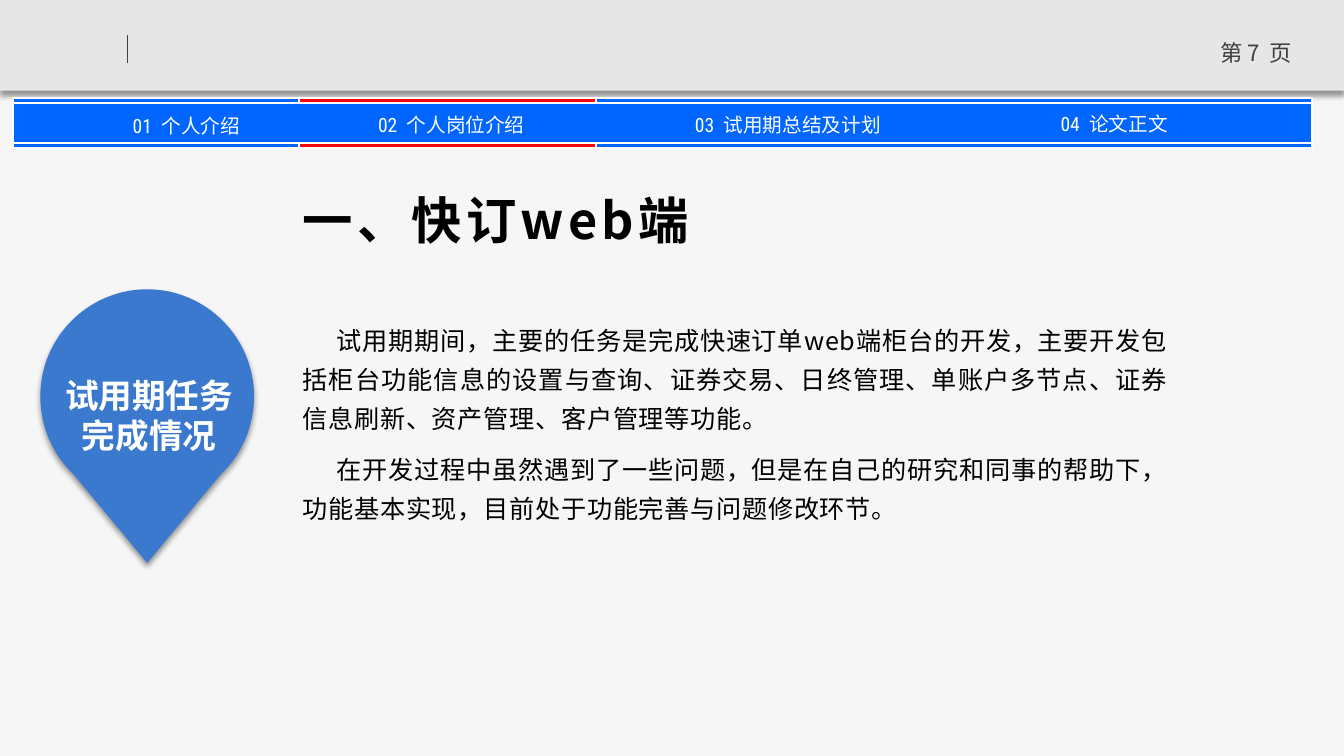
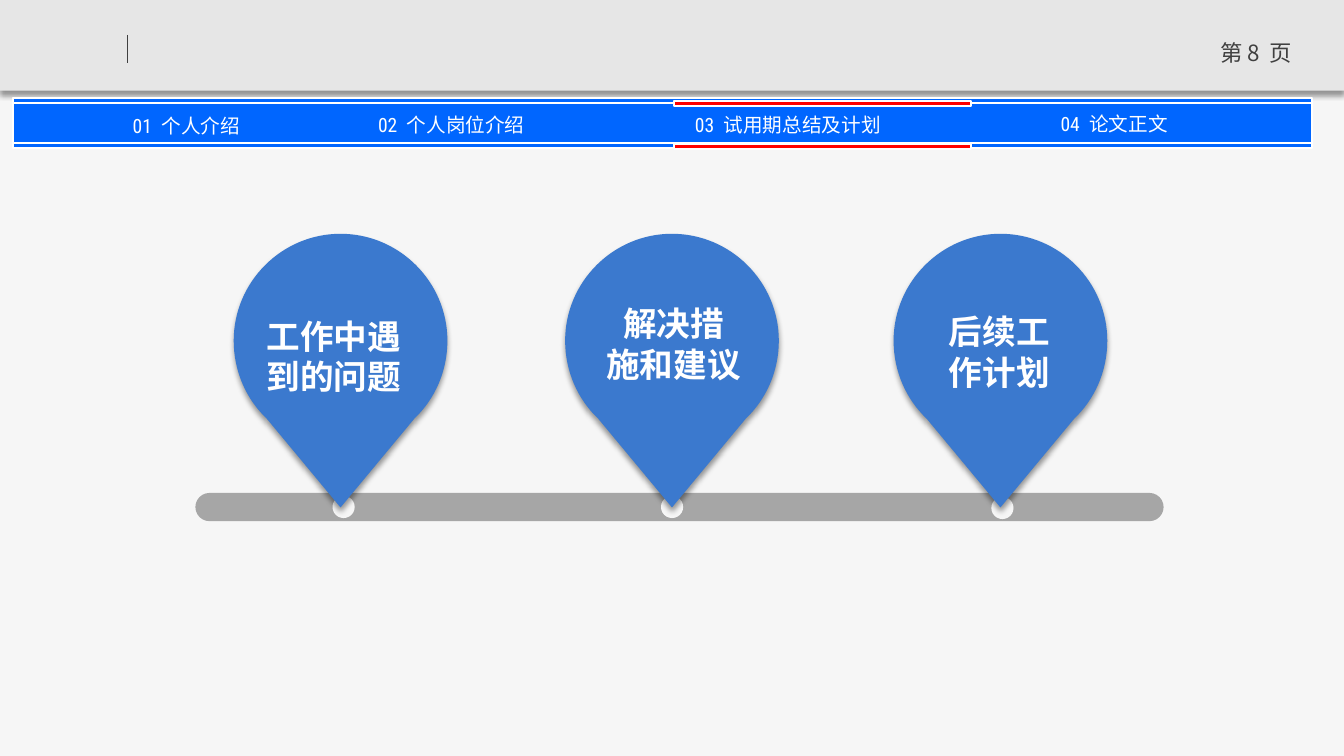
"""Build two probation report slides on one shared layout."""
from lxml.etree import SubElement as Sub
from pptx import Presentation
from pptx.dml.color import RGBColor as Rgb
from pptx.enum.shapes import MSO_CONNECTOR as Link, MSO_SHAPE as Kind
from pptx.enum.text import MSO_ANCHOR as Anchor, MSO_AUTO_SIZE as Fit, PP_ALIGN as Align
from pptx.oxml.ns import qn
from pptx.util import Inches, Pt

HUE = {"back": "F6F6F6", "head": "E6E6E6", "ink": "404040", "band": "0066FF",
       "mark": "FF0000", "pin": "3B79CE", "rail": "A6A6A6", "white": "FFFFFF", "black": "000000"}
SANS, SLIM = "Noto Sans CJK SC", "Roboto Condensed"

deck = Presentation()
deck.slide_width, deck.slide_height = Inches(13.34), Inches(7.5)
COL, ROW = deck.slide_width / 100, deck.slide_height / 100


def paint(shape, hue, edge=None, shade=False):
    """Fill a shape, with an optional outline and soft shadow."""
    shape.fill.solid()
    shape.fill.fore_color.rgb = Rgb.from_string(HUE[hue])
    if edge:
        shape.line.color.rgb = Rgb.from_string(HUE[edge])
        shape.line.width = Pt(1.5)
    else:
        shape.line.fill.background()
    shape.shadow.inherit = False
    if shade:
        glow = Sub(shape.element.spPr.find(qn("a:effectLst")), qn("a:outerShdw"),
                   blurRad=str(Pt(4)), dist=str(Pt(3)), dir="5400000", rotWithShape="0")
        tint = Sub(glow, qn("a:srgbClr"), val=HUE["black"])
        Sub(tint, qn("a:alpha"), val="40000")


def write(frame, lines, hue, size, face=SANS, bold=False, track=0, room=None, **form):
    """Write lines of runs with one text format."""
    for key, value in (room or {}).items():
        setattr(frame, key, value)
    for num, line in enumerate(lines):
        para = frame.paragraphs[0] if num == 0 else frame.add_paragraph()
        for key, value in form.items():
            setattr(para, key, value)
        for text in line:
            run = para.add_run()
            run.text = text
            run.font.color.rgb = Rgb.from_string(HUE[hue])
            for key, value in {"size": Pt(size), "bold": bold, "name": face}.items():
                setattr(run.font, key, value)
            props = run._r.get_or_add_rPr()
            Sub(props, qn("a:ea"), typeface=SANS)
            gap = 350 if text == " " else track
            if gap:
                props.set("spc", str(gap))


layout = deck.slide_layouts[1]
layout.background.fill.solid()
layout.background.fill.fore_color.rgb = Rgb.from_string(HUE["back"])
for hold in list(layout.placeholders):
    if hold.placeholder_format.idx >= 10:
        hold.element.getparent().remove(hold.element)

web, plan = [deck.slides.add_slide(layout) for _ in range(2)]

head = web.shapes.add_shape(Kind.RECTANGLE, 0, 0, deck.slide_width, int(12 * ROW))
paint(head, "head", shade=True)
rule = web.shapes.add_connector(Link.STRAIGHT, int(9.52 * COL), int(4.6 * ROW),
                                int(9.52 * COL), int(8.4 * ROW))
rule.line.color.rgb = Rgb.from_string(HUE["ink"])
rule.line.width = Pt(0.75)
Sub(rule.element.spPr, qn("a:effectLst"))

for top, tall in ((13.68, 5.73), (18.93, 0.67), (13.02, 0.67)):
    band = web.shapes.add_shape(Kind.RECTANGLE, int(0.97 * COL), int(top * ROW),
                                int(96.63 * COL), int(tall * ROW))
    paint(band, "band", "white")

flush = {"margin_left": 0, "margin_right": 0, "margin_top": 0, "margin_bottom": 0,
         "vertical_anchor": Anchor.MIDDLE, "word_wrap": True}
tabs = [("01", "个人介绍", 4.57, 15.07), ("02", "个人岗位介绍", 24.29, 14.93),
        ("03", "试用期总结及计划", 49.33, 14.93), ("04", "论文正文", 73.61, 14.8)]
for num, name, left, top in tabs:
    tab = web.shapes.add_textbox(int(left * COL), int(top * ROW), int(18.59 * COL), int(3.2 * ROW))
    write(tab.text_frame, [[num, " ", name]], "white", 14, SLIM, room=flush, alignment=Align.CENTER)

tree = layout.element.cSld.spTree
for shape in list(web.shapes):
    if not shape.is_placeholder:
        tree.append(shape.element)

for hold in list(plan.placeholders):
    hold.element.getparent().remove(hold.element)

for slide, page, left, tops in ((web, "7", 22.26, (18.93, 13.02)), (plan, "8", 50.15, (19.07, 13.33))):
    note = slide.shapes.add_textbox(int(88.98 * COL), int(4.53 * ROW), int(9 * COL), int(5.33 * ROW))
    write(note.text_frame, [["第 " + page, " ", "页"]], "ink", 16,
          room={"word_wrap": True}, alignment=Align.CENTER)
    for top in tops:
        mark = slide.shapes.add_shape(Kind.RECTANGLE, int(left * COL), int(top * ROW),
                                      int(22.11 * COL), int(0.67 * ROW))
        paint(mark, "mark", "white")

inset = {"margin_left": Inches(0.08), "margin_right": Inches(0.08), "margin_top": Inches(0.04),
         "margin_bottom": Inches(0.04), "vertical_anchor": Anchor.TOP, "word_wrap": True,
         "auto_size": Fit.NONE}
title, body = web.placeholders
for hold, spot in ((title, (21.92, 24.5, 40.85, 9.07)), (body, (21.92, 41.28, 65.59, 53.73))):
    for key, share, unit in zip(("left", "top", "width", "height"), spot, (COL, ROW, COL, ROW)):
        setattr(hold, key, int(share * unit))
flow = {"alignment": Align.JUSTIFY, "space_before": Pt(0), "space_after": Pt(8)}
write(title.text_frame, [["一、快订web端"]], "black", 36, bold=True, track=300, room=inset, **flow)
tale = [["试用期期间，主要的任务是完成快速订单web端柜台的开发，主要开发包括柜台功能信息的设置与查询、"
         "证券交易、日终管理、单账户多节点、证券信息刷新、资产管理、客户管理等功能。"],
        ["在开发过程中虽然遇到了一些问题，但是在自己的研究和同事的帮助下，"
         "功能基本实现，目前处于功能完善与问题修改环节。"]]
write(body.text_frame, tale, "black", 18, track=50, room=inset, line_spacing=1.3, **flow)
for para in body.text_frame.paragraphs:
    props = para._p.get_or_add_pPr()
    props.set("marL", "0")
    props.set("indent", str(Inches(0.34)))
    Sub(props, qn("a:buNone"))

rail = plan.shapes.add_shape(Kind.ROUNDED_RECTANGLE, int(14.54 * COL), int(65.2 * ROW),
                             int(72.04 * COL), int(3.73 * ROW))
rail.adjustments[0] = 0.5
paint(rail, "rail")
for slide, left, top in ((web, 10.19, 73.07), (plan, 24.74, 65.6),
                         (plan, 49.18, 65.6), (plan, 73.76, 65.73)):
    dot = slide.shapes.add_shape(Kind.OVAL, int(left * COL), int(top * ROW),
                                 int(1.65 * COL), int(2.93 * ROW))
    paint(dot, "back")

ARM = 7.95 * COL
EDGE = [(0.55, -1), (1, -0.55), (1, 0), (1, 0.29), (0.88, 0.55), (0.69, 0.73), (0, 1.56),
        (-0.69, 0.73), (-0.88, 0.55), (-1, 0.29), (-1, 0), (-1, -0.55), (-0.55, -1), (0, -1)]
BENDS = (0, 3, 8, 11)
pins = [(web, 3, 38.27, ["试用期任务", "完成情况"], (4.05, 48.93, 14.09), False, Align.CENTER),
        (plan, 17.39, 30.93, ["工作中遇到的问题"], (18.14, 41.07, 13.42), True, Align.CENTER),
        (plan, 42.05, 30.93, ["解决措", "施和建议"], (44.3, 39.47, 11.62), False, Align.CENTER),
        (plan, 66.49, 30.93, ["后续工", "作计划"], (69.87, 40.53, 9.07), False, Align.LEFT)]
for slide, left, top, lines, (side, high, wide), wrap, align in pins:
    mid, hub = left * COL + ARM, top * ROW + ARM
    draft = slide.shapes.build_freeform(int(mid), int(hub - ARM))
    draft.add_line_segments([(int(mid + x * ARM), int(hub + y * ARM)) for x, y in EDGE], close=True)
    pin = draft.convert_to_shape()
    steps = list(pin.element.iter(qn("a:lnTo")))
    for bend in BENDS:
        first, *rest = steps[bend:bend + 3]
        first.tag = qn("a:cubicBezTo")
        for step in rest:
            first.append(step[0])
            step.getparent().remove(step)
    paint(pin, "pin", shade=True)
    label = slide.shapes.add_textbox(int(side * COL), int(high * ROW), int(wide * COL), int(12.13 * ROW))
    write(label.text_frame, [[line] for line in lines], "white", 24, bold=True,
          room={"word_wrap": wrap}, alignment=align)

deck.save("out.pptx")
